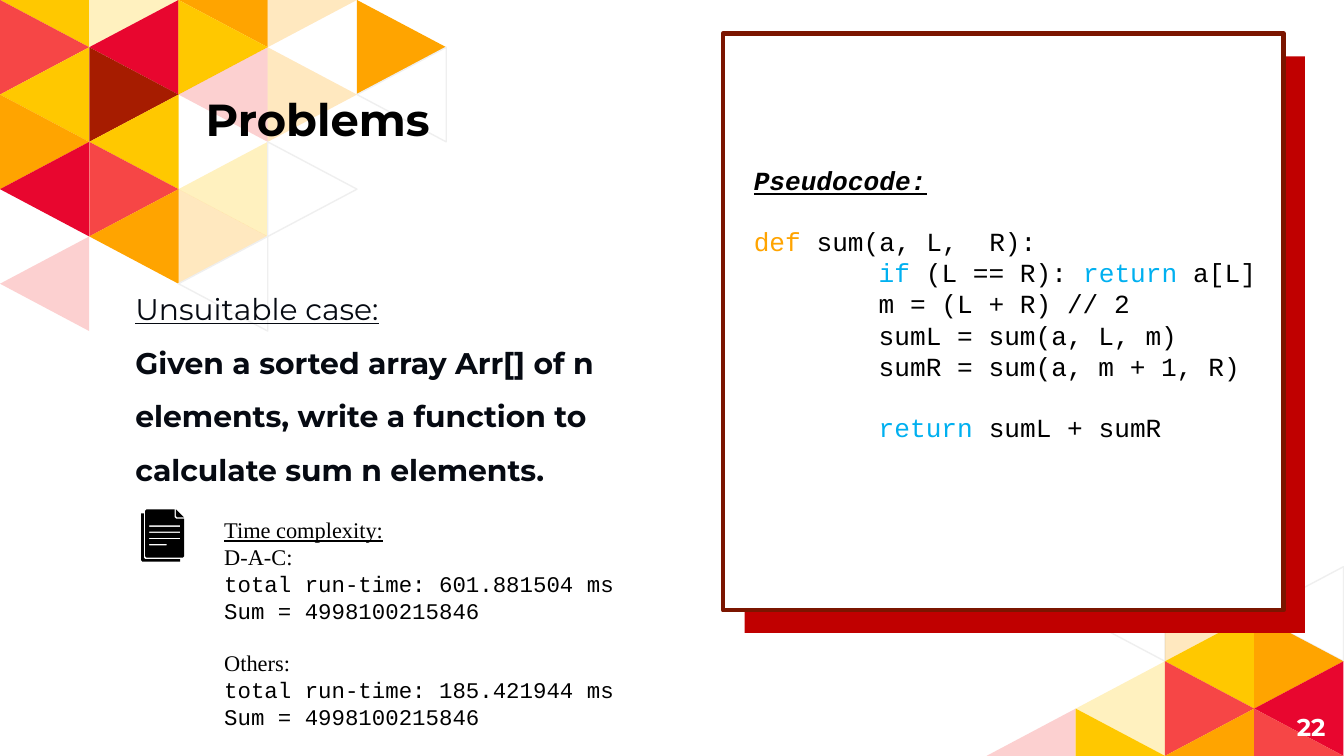
from dataclasses import dataclass

import pptx
import pptx.dml.color
import pptx.enum.shapes
import pptx.enum.text
import pptx.oxml
import pptx.oxml.ns
import pptx.util
from pptx.util import Inches

PP_ALIGN = pptx.enum.text.PP_ALIGN
ANCHOR = pptx.enum.text.MSO_ANCHOR
SANS, SERIF, MONO = "Montserrat", "Times New Roman", "Courier New"
BLACK, WHITE = "000000", "FFFFFF"
ORANGE, BLUE = "FFA400", "00B0F0"

# Mosaic letters: upper case is solid, lower case 25 % opaque, W outlined
TILE_COLORS = {"O": ORANGE, "Y": "FFC800", "C": "F64646", "R": "E8062F",
               "D": "A61C00", "W": WHITE}
TILE_W, TILE_H = 0.66, 0.35
TILE_W, TILE_H = 0.664, 0.352
SLIDE_W, SLIDE_H = 10, 5.625


@dataclass
class Mosaic:
    left: float
    top: float
    rows: list[str]


@dataclass
class Run:
    text: str
    color: str | None = None


@dataclass
class Para:
    runs: list[Run]
    size: float
    font: str
    color: str = BLACK
    bold: bool = False
    italic: bool = False
    underline: bool = False
    align: PP_ALIGN = PP_ALIGN.LEFT
    spacing: float = 1.0
    before: float = 0
    indent: float = 0


def rgb(color: str) -> pptx.dml.color.RGBColor:
    return pptx.dml.color.RGBColor.from_string(color)


def paint(sp, fill: str, line: str | None = None, width: float = 0.75) -> None:
    sp.shadow.inherit = False
    sp.fill.solid()
    sp.fill.fore_color.rgb = rgb(fill)
    if line:
        sp.line.color.rgb = rgb(line)
        sp.line.width = pptx.util.Pt(width)
    else:
        sp.line.fill.background()


def draw_outline(s, contours: list[list[tuple[float, float]]], fill: str,
                 line: str | None = None, opacity: int = 100) -> None:
    builder = None
    for contour in contours:
        points = [(Inches(x), Inches(y)) for x, y in contour]
        if builder is None:
            builder = s.shapes.build_freeform(*points[0])
        else:
            builder.move_to(*points[0])
        builder.add_line_segments(points[1:], close=True)
    sp = builder.convert_to_shape()
    paint(sp, fill, line)
    if opacity < 100:
        clr = sp.element.find(".//" + pptx.oxml.ns.qn("a:srgbClr"))
        alpha = pptx.oxml.parse_xml(
            f'<a:alpha {pptx.oxml.ns.nsdecls("a")} val="{opacity * 1000}"/>')
        clr.append(alpha)


def draw_mosaic(s, mosaic: Mosaic) -> None:
    """Triangles point right where column + row is odd, else left."""
    for row, letters in enumerate(mosaic.rows):
        for col, letter in enumerate(letters):
            if letter == ".":
                continue
            x, y = mosaic.left + col * TILE_W, mosaic.top + row * TILE_H
            base, tip = (x, x + TILE_W) if (col + row) % 2 else (x + TILE_W, x)
            upper = max(y - TILE_H, 0)
            lower = min(y + TILE_H, SLIDE_H)
            draw_outline(s, [[(base, upper), (base, lower), (tip, y)]],
                         TILE_COLORS[letter.upper()],
                         "EFEFEF" if letter == "W" else None,
                         25 if letter.islower() else 100)


def draw_panel(s, left: float, top: float, fill: str,
               line: str | None = None) -> None:
    sp = s.shapes.add_shape(pptx.enum.shapes.MSO_SHAPE.RECTANGLE, Inches(left),
                            Inches(top), Inches(4.17), Inches(4.29))
    paint(sp, fill, line, 2.5)


def write(tf, paras: list[Para]) -> None:
    tf.word_wrap = True
    for i, para in enumerate(paras):
        p = tf.paragraphs[0] if i == 0 else tf.add_paragraph()
        p.alignment = para.align
        p.line_spacing = para.spacing
        p.space_before = pptx.util.Pt(para.before)
        font = p.font
        font.size, font.name = pptx.util.Pt(para.size), para.font
        font.bold, font.italic = para.bold, para.italic
        font.underline = para.underline
        font.color.rgb = rgb(para.color)
        if para.indent:
            p._p.get_or_add_pPr().set("marL", str(Inches(para.indent)))
        for run in para.runs:
            r = p.add_run()
            r.text = run.text
            if run.color:
                r.font.color.rgb = rgb(run.color)


def add_text(s, box: tuple[float, float, float, float], paras: list[Para]):
    sp = s.shapes.add_textbox(*map(Inches, box))
    write(sp.text_frame, paras)
    return sp.text_frame


def set_insets(tf, inset: float) -> None:
    tf.margin_left = tf.margin_right = Inches(inset)
    tf.margin_top = tf.margin_bottom = Inches(inset)


def result(text: str, font: str = MONO, **style) -> Para:
    return Para([Run(text)], 12, font, **style)


def code(*runs: Run, indent: float = 0.93, before: float = 0) -> Para:
    return Para(list(runs), 14, MONO, indent=indent, before=before)


def draw_document_icon(s) -> None:
    # Back sheet, seen along the left and bottom edges
    draw_outline(s, [[(1.05, 3.82), (1.07, 3.82), (1.07, 4.15), (1.08, 4.16),
                      (1.34, 4.16), (1.34, 4.18), (1.06, 4.18), (1.05, 4.17)]],
                 BLACK)
    # Front sheet with four cut-out text lines
    sheet = [(1.09, 3.79), (1.3, 3.79), (1.3, 3.85), (1.31, 3.86), (1.37, 3.86),
             (1.37, 4.14), (1.36, 4.15), (1.09, 4.15), (1.08, 4.14), (1.08, 3.8)]
    lines = []
    for i, right in enumerate([1.34, 1.34, 1.34, 1.24]):
        y = 3.91 + i * 0.046
        lines.append([(1.11, y), (1.11, y + 0.01), (right, y + 0.01), (right, y)])
    draw_outline(s, [sheet, *lines], BLACK)
    # Folded corner
    draw_outline(s, [[(1.31, 3.79), (1.31, 3.84), (1.32, 3.85), (1.37, 3.85)]],
                 BLACK)


def main() -> None:
    prs = pptx.Presentation()
    prs.slide_width, prs.slide_height = Inches(SLIDE_W), Inches(SLIDE_H)
    s = prs.slides.add_slide(prs.slide_layouts[5])

    # Corner mosaics
    draw_mosaic(s, Mosaic(7.34, SLIDE_H - 4 * TILE_H,
                          ["", ".WoW", "..YO", ".yCR", "cYOC"]))
    draw_mosaic(s, Mosaic(0, 0, ["YyOo", "CRY.O", "YDcoW", "OY", "RCyW",
                                 ".Oo", "c.W"]))

    # Code panel on its red backing
    draw_panel(s, 5.54, 0.42, "C00000")
    draw_panel(s, 5.38, 0.25, WHITE, "7B1500")

    # Title and slide number
    title = s.shapes.title
    title.left, title.top = Inches(1.43), Inches(0.45)
    title.width, title.height = Inches(2.59), Inches(0.73)
    s.shapes._spTree.append(title.element)
    tf = title.text_frame
    write(tf, [Para([Run("Problems")], 24, SANS, bold=True)])
    tf.auto_size = pptx.enum.text.MSO_AUTO_SIZE.NONE
    tf.vertical_anchor = ANCHOR.BOTTOM
    set_insets(tf, 0.1)

    tf = add_text(s, (9.36, 5.19, 0.6, 0.43),
                  [Para([Run("22")], 13, SANS, WHITE, bold=True,
                        align=PP_ALIGN.RIGHT)])
    tf.vertical_anchor = ANCHOR.MIDDLE
    set_insets(tf, 0.1)

    # Problem statement
    add_text(s, (0.91, 1.98, 4.2, 1.67), [
        Para([Run("Unsuitable case:")], 16, SANS, "060A12", underline=True,
             spacing=1.5),
        Para([Run("Given a sorted array Arr[] of n elements, write a function "
                  "to calculate sum n elements.")], 16, SANS, "060A12",
             bold=True, spacing=1.5),
    ])

    # Measured run times
    add_text(s, (1.57, 3.79, 3.64, 1.72), [
        result("Time complexity:", SERIF, underline=True),
        result("D-A-C:", SERIF),
        result("total run-time: 601.881504 ms"),
        result("Sum = 4998100215846"),
        result("Others:", SERIF, before=13.8),
        result("total run-time: 185.421944 ms"),
        result("Sum = 4998100215846"),
    ])

    # Pseudocode
    add_text(s, (5.51, 1.17, 4.39, 2.22), [
        Para([Run("Pseudocode:")], 14, MONO, bold=True, italic=True,
             underline=True),
        code(Run("def", ORANGE), Run(" sum(a, L,  R):"), indent=0, before=15.9),
        code(Run("if", BLUE), Run(" (L == R): "), Run("return", BLUE),
             Run(" a[L]")),
        code(Run("m = (L + R) // 2")),
        code(Run("sumL = sum(a, L, m)")),
        code(Run("sumR = sum(a, m + 1, R)")),
        code(Run("return", BLUE), Run(" sumL + sumR"), before=15.9),
    ])

    draw_document_icon(s)
    prs.save("out.pptx")


if __name__ == "__main__":
    main()
